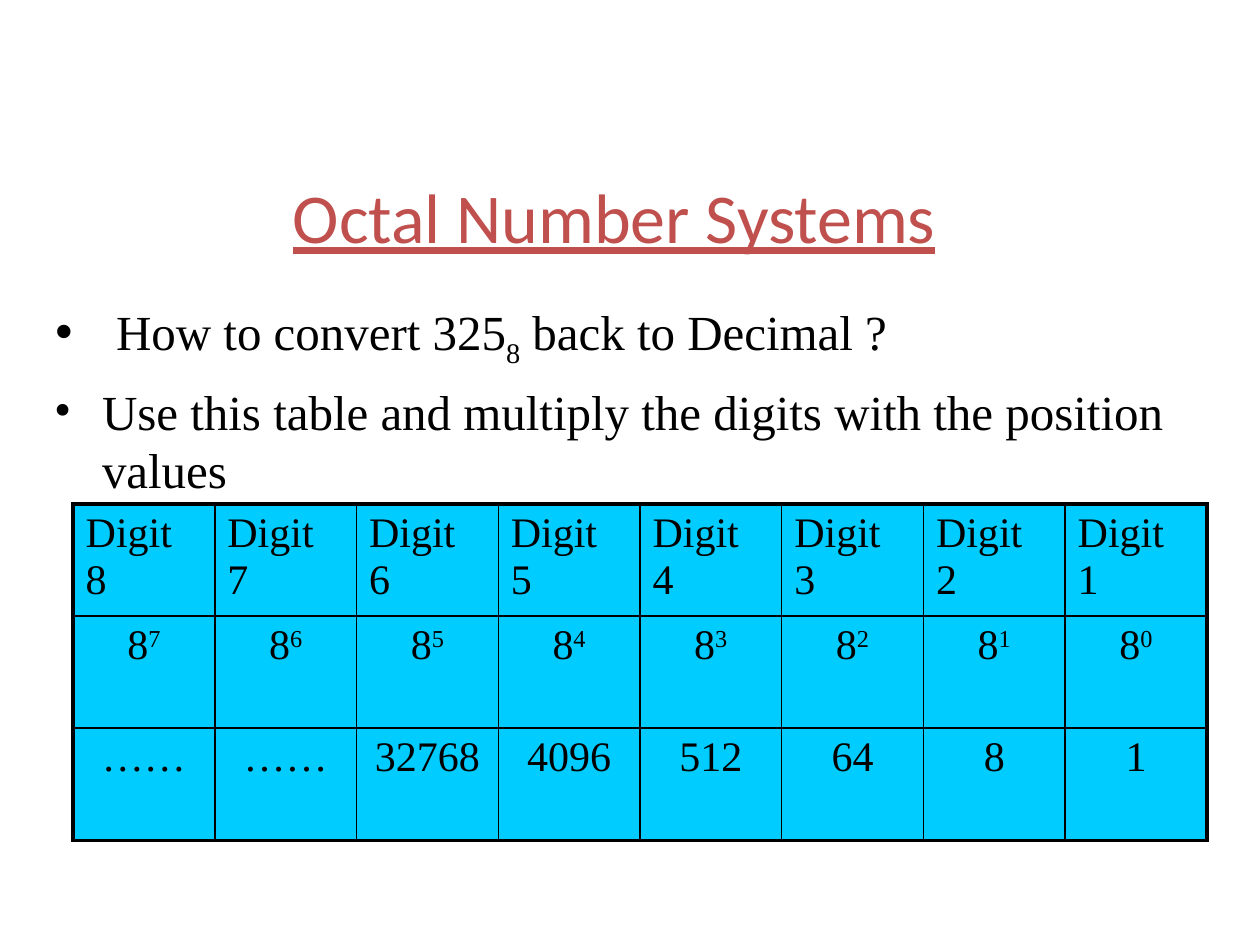
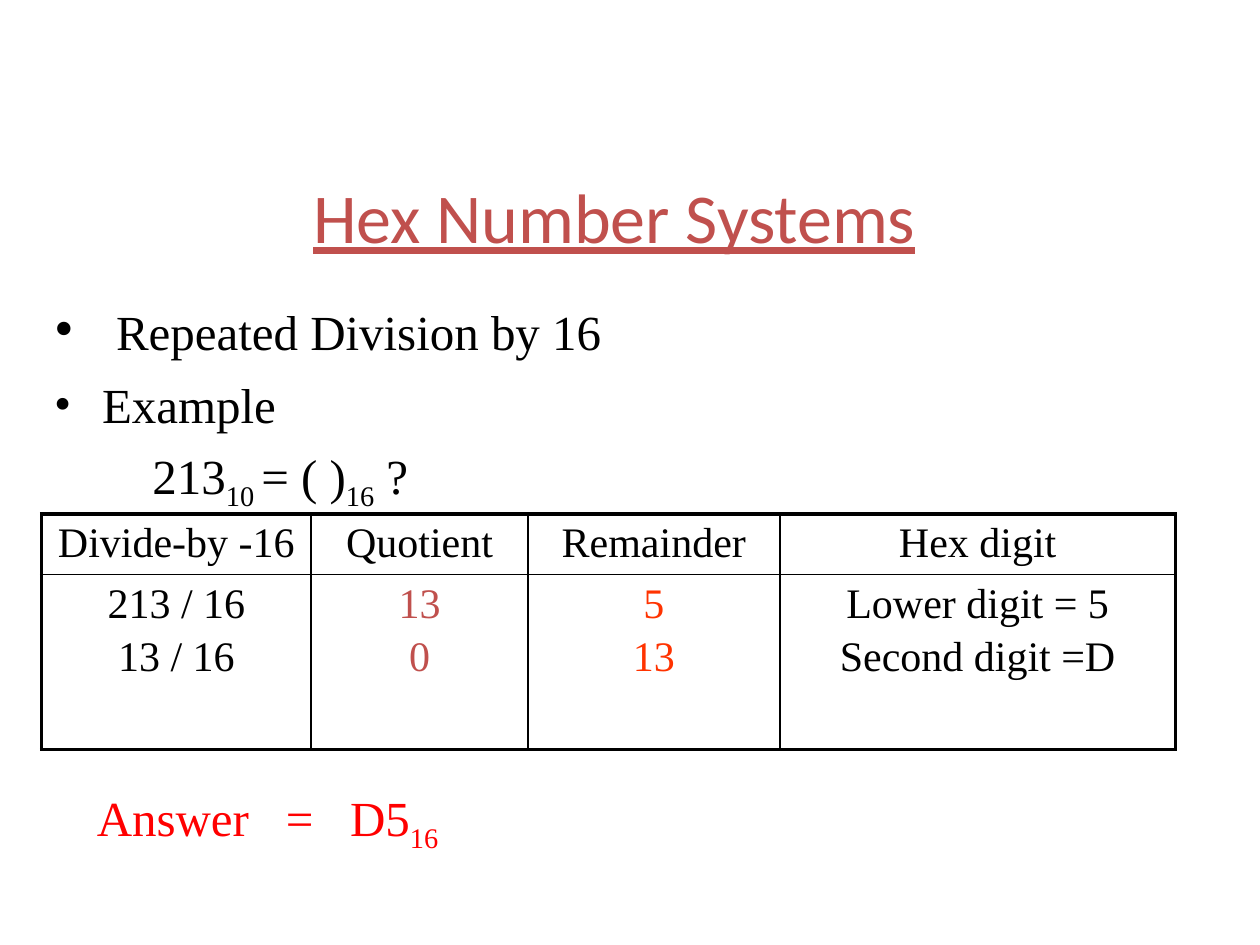
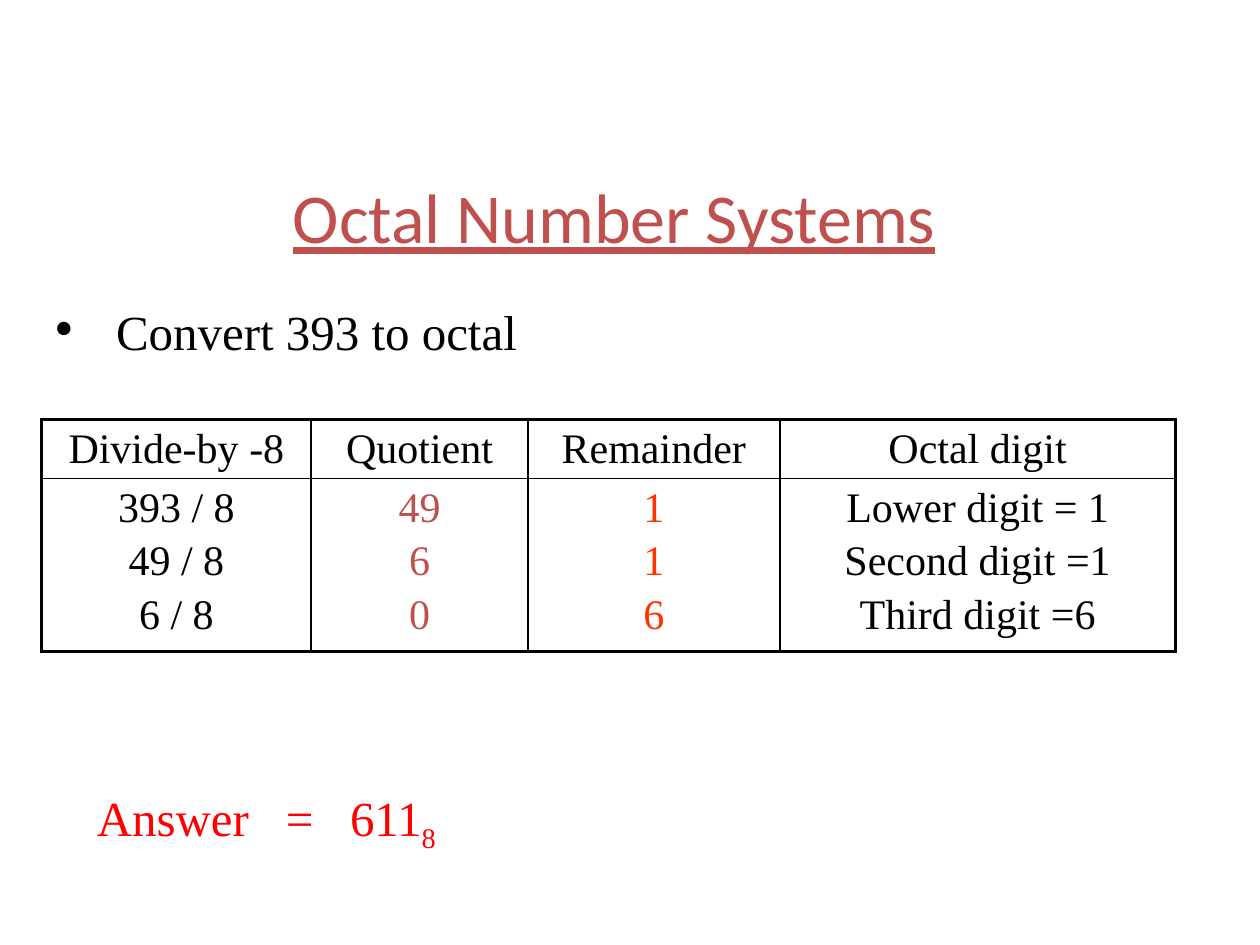
from dataclasses import dataclass

from lxml.etree import SubElement
from pptx import Presentation
from pptx.dml.color import RGBColor
from pptx.enum.text import MSO_ANCHOR, MSO_AUTO_SIZE, PP_ALIGN
from pptx.oxml.ns import qn
from pptx.util import Inches, Pt


@dataclass(frozen=True)
class Theme:
    """Colours, fonts and sizes shared by the slides."""

    ink: str = "000000"
    accent: str = "C0504D"
    remainder: str = "FF3300"
    answer: str = "FF0000"
    cell: str = "00CCFF"
    title_font: str = "Calibri"
    text_font: str = "Times New Roman"
    title_size: int = 40
    lead_size: int = 32
    body_size: int = 28
    table_size: int = 24
    outer_line: float = 2.25
    inner_line: float = 1


THEME = Theme()
TITLE_BOX = (1, 1.17, 7.75, 1.08)
BODY_BOX = (0.33, 2.25, 9.25, 1.92)
ANSWER_BOX = (0.67, 6.2, 7, 0.57)
DIVISION_COLUMNS = (2.14, 1.72, 2, 3.14)
LEAD = (" ", {"size": THEME.lead_size})


def lowered(text):
    """Return a subscript span."""
    return text, {"baseline": -25}


def raised(text):
    """Return a superscript span."""
    return text, {"baseline": 30}


def add_span(para, text, size=THEME.body_size, font=THEME.text_font,
             color=THEME.ink, underline=None, baseline=None):
    """Add a formatted run to a paragraph."""
    span = para.add_run()
    span.text = text
    span.font.size = Pt(size)
    span.font.name = font
    span.font.color.rgb = RGBColor.from_string(color)
    span.font.underline = underline
    if baseline:
        span.font._element.set("baseline", str(baseline * 1000))


def write_lines(frame, lines, align=None, gap=0, **style):
    """Write one paragraph per line; a line is a string or a list of spans."""
    for index, line in enumerate(lines):
        para = frame.paragraphs[0] if index == 0 else frame.add_paragraph()
        para.alignment = align
        para.space_before = Pt(gap if index else 0)
        for span in [line] if isinstance(line, str) else line:
            text, options = (span, {}) if isinstance(span, str) else span
            add_span(para, text, **{**style, **options})


def place(shape, box):
    """Set the position and size of a shape in inches."""
    shape.left, shape.top, shape.width, shape.height = map(Inches, box)


def set_indent(para, margin, bullet):
    """Set a paragraph's left margin with a hanging bullet or none."""
    properties = para._p.get_or_add_pPr()
    properties.set("marL", str(Inches(margin)))
    properties.set("indent", str(Inches(-margin if bullet else 0)))
    if bullet:
        SubElement(properties, qn("a:buFont"), typeface=THEME.text_font)
        SubElement(properties, qn("a:buChar"), char="•")
    else:
        SubElement(properties, qn("a:buNone"))


def add_title(page, text, box=TITLE_BOX):
    """Fill the title placeholder."""
    place(page.shapes.title, box)
    frame = page.shapes.title.text_frame
    frame.auto_size = MSO_AUTO_SIZE.NONE
    frame.vertical_anchor = MSO_ANCHOR.MIDDLE
    write_lines(frame, [text], PP_ALIGN.CENTER, size=THEME.title_size,
                font=THEME.title_font, color=THEME.accent, underline=True)


def add_body(page, bullets, example=None, box=BODY_BOX):
    """Fill the body placeholder with bullets and an indented example."""
    body = page.placeholders[1]
    place(body, box)
    frame = body.text_frame
    frame.auto_size = MSO_AUTO_SIZE.NONE
    frame.margin_top = Inches(0.09)
    write_lines(frame, bullets + ([example] if example else []), gap=7)
    for index, para in enumerate(frame.paragraphs):
        is_bullet = index < len(bullets)
        set_indent(para, 0.38 if is_bullet else 0.78, is_bullet)


def set_border(cell, side, width):
    """Draw one side of a cell's border."""
    line = SubElement(cell._tc.get_or_add_tcPr(), qn(f"a:ln{side}"), w=str(Pt(width)))
    fill = SubElement(line, qn("a:solidFill"))
    SubElement(fill, qn("a:srgbClr"), val=THEME.ink)


def add_grid(page, left, top, columns, heights, rows, fill=None,
             colors=None, header_align=PP_ALIGN.CENTER):
    """Add a table with a thick outer frame; each cell is a list of lines."""
    grid = page.shapes.add_table(
        len(rows), len(columns), Inches(left), Inches(top),
        Inches(sum(columns)), Inches(sum(heights))).table
    grid.first_row = grid.horz_banding = False
    for column, width in zip(grid.columns, columns):
        column.width = Inches(width)
    for y, (row, height) in enumerate(zip(rows, heights)):
        grid.rows[y].height = Inches(height)
        for x, lines in enumerate(row):
            cell = grid.cell(y, x)
            edges = {"L": x == 0, "R": x == len(columns) - 1,
                     "T": y == 0, "B": y == len(rows) - 1}
            for side, outer in edges.items():
                set_border(cell, side, THEME.outer_line if outer else THEME.inner_line)
            if fill:
                cell.fill.solid()
                cell.fill.fore_color.rgb = RGBColor.from_string(fill)
            else:
                cell.fill.background()
            write_lines(cell.text_frame, lines,
                        PP_ALIGN.CENTER if y else header_align, gap=4,
                        size=THEME.table_size,
                        color=colors[x] if colors and y else THEME.ink)


def add_answer(page, number, base, box=ANSWER_BOX):
    """Add the answer line with its parts on tab stops."""
    answer = page.shapes.add_textbox(*map(Inches, box))
    frame = answer.text_frame
    frame.word_wrap = True
    tabs = SubElement(frame.paragraphs[0]._p.get_or_add_pPr(), qn("a:tabLst"))
    for stop in (1.5, 2.01):
        SubElement(tabs, qn("a:tab"), pos=str(Inches(stop)), algn="l")
    write_lines(frame, [[f"Answer\t=\t{number}", lowered(base)]], color=THEME.answer)


def add_page(deck, title, bullets, example=None):
    """Add a slide with its title and body."""
    page = deck.slides.add_slide(deck.slide_layouts[1])
    add_title(page, title)
    add_body(page, bullets, example)
    return page


def add_position_page(deck):
    """Add the slide with the octal position values."""
    page = add_page(deck, "Octal Number Systems", [
        [LEAD, "How to convert 325", lowered("8"), " back to Decimal ?"],
        "Use this table and multiply the digits with the position values"])
    digits = range(8, 0, -1)
    values = ["……" if digit > 6 else str(8 ** (digit - 1)) for digit in digits]
    rows = [[[f"Digit {digit}"] for digit in digits],
            [[["8", raised(str(digit - 1))]] for digit in digits],
            [[value] for value in values]]
    add_grid(page, 0.58, 4, [9 / 8] * 8, [0.89] * 3, rows, fill=THEME.cell,
             header_align=PP_ALIGN.LEFT)


def add_division_page(deck, system, base, steps, digits, answer, top, heights,
                      bullets, example=None):
    """Add a slide that converts a number by repeated division."""
    page = add_page(deck, f"{system} Number Systems", bullets, example)
    header = [f"Divide-by -{base}", "Quotient", "Remainder", f"{system} digit"]
    numbers, quotients, remainders = zip(
        *[(f"{number} / {base}", str(number // base), str(number % base))
          for number in steps])
    rows = [[[label] for label in header], [numbers, quotients, remainders, digits]]
    add_grid(page, 0.33, top, DIVISION_COLUMNS, heights, rows,
             colors=(THEME.ink, THEME.accent, THEME.remainder, THEME.ink))
    add_answer(page, answer, str(base))


def main():
    """Build and save the deck."""
    deck = Presentation()
    deck.slide_width, deck.slide_height = Inches(10), Inches(7.5)
    add_position_page(deck)
    add_division_page(
        deck, "Hex", 16, (213, 13), ("Lower digit = 5", "Second digit =D"),
        "D5", 4.08, (0.48, 1.39),
        [[LEAD, "Repeated Division by 16"], "Example"],
        ["213", lowered("10 "), "= ( )", lowered("16"), " ?"])
    add_division_page(
        deck, "Octal", 8, (393, 49, 6),
        ("Lower digit = 1", "Second digit =1", "Third digit =6"),
        "611", 3.33, (0.47, 1.37), [[LEAD, "Convert 393 to octal"]])
    deck.save("out.pptx")


if __name__ == "__main__":
    main()
